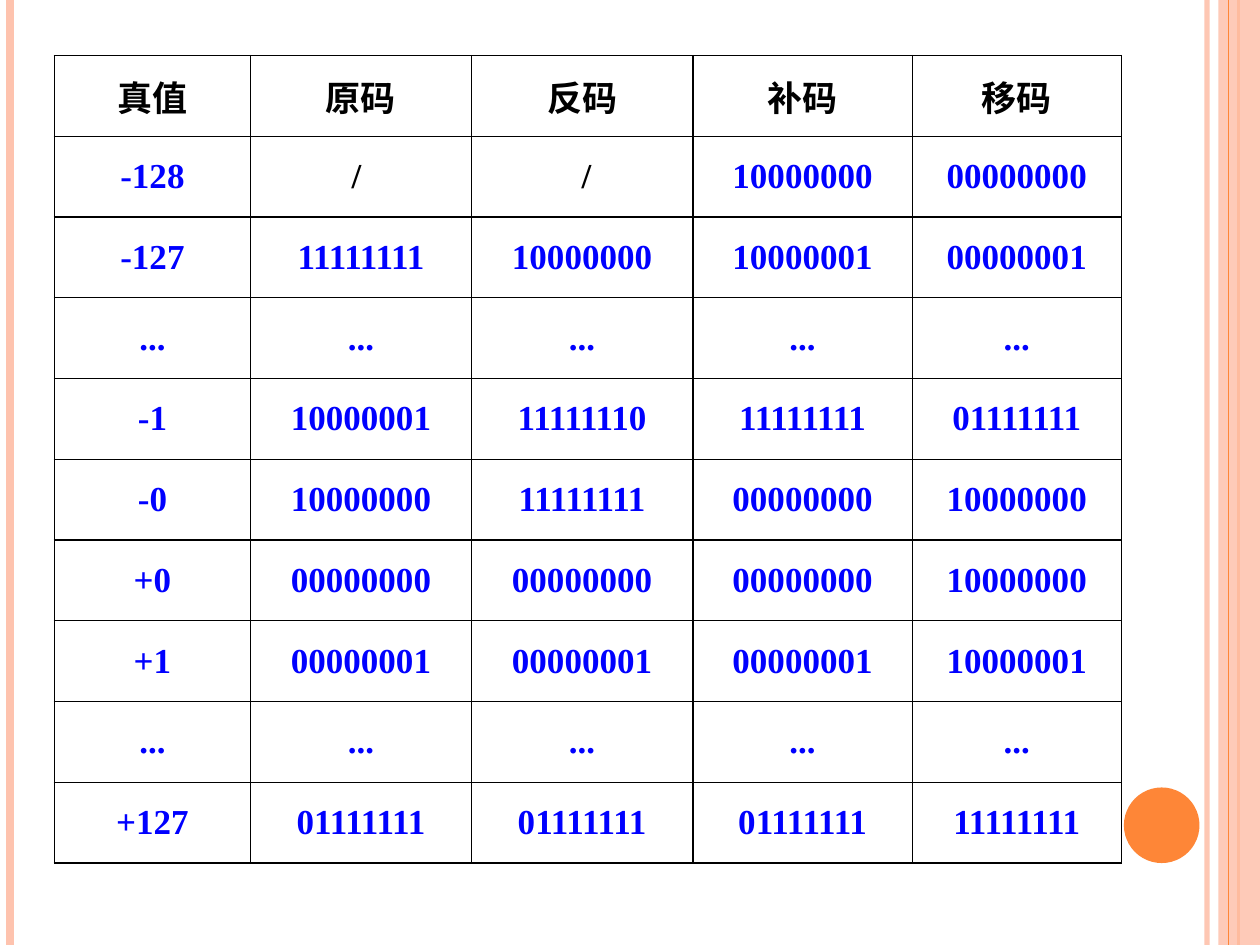
from lxml import etree
from pptx import Presentation
from pptx.dml.color import RGBColor
from pptx.enum.shapes import MSO_CONNECTOR, MSO_SHAPE
from pptx.enum.text import MSO_ANCHOR, PP_ALIGN
from pptx.oxml import parse_xml
from pptx.oxml.ns import nsdecls, qn
from pptx.util import Inches, Pt

STRAIGHT = MSO_CONNECTOR.STRAIGHT
RECT, OVAL = MSO_SHAPE.RECTANGLE, MSO_SHAPE.OVAL
MIDDLE, CENTER = MSO_ANCHOR.MIDDLE, PP_ALIGN.CENTER
PINK, ORANGE, BLACK, BLUE = "FEC3AE", "FE8637", "000000", "0000FF"


def rgb(value):
    return RGBColor.from_string(value)


def set_alpha(fill, percent):
    """Make a solid fill partly transparent."""
    color = fill._xPr.find(qn("a:solidFill"))[0]
    etree.SubElement(color, qn("a:alpha"), val=str(percent * 1000))


prs = Presentation()
prs.slide_width, prs.slide_height = Inches(10), Inches(7.5)
s = prs.slides.add_slide(prs.slide_layouts[6])

# Side decoration: band and disc, with vertical lines below and above the band
rules = [(9.58, PINK, 3, 93), (0.08, PINK, 4.5, 100), (9.83, ORANGE, 1.5, 100),
         (9.75, ORANGE, 0.75, 100)]
shapes = [(RECT, 9.67, 0, 0.33, 7.5, PINK, 87), (OVAL, 8.92, 6.25, 0.6, 0.6, ORANGE, 100)]

for part in rules[:3] + shapes[:1] + rules[3:] + shapes[1:]:
    if len(part) == 4:
        x, color, width, alpha = part
        sp = s.shapes.add_connector(STRAIGHT, Inches(x), 0, Inches(x), Inches(7.5))
        sp.line.width = Pt(width)
        fill = sp.line.fill
        fill.solid()
        fill.fore_color.rgb = rgb(color)
        etree.SubElement(sp._element.spPr, qn("a:effectLst"))
    else:
        kind, x, y, w, h, color, alpha = part
        sp = s.shapes.add_shape(kind, Inches(x), Inches(y), Inches(w), Inches(h))
        sp.shadow.inherit = False
        sp.line.fill.background()
        fill = sp.fill
        fill.solid()
        fill.fore_color.rgb = rgb(color)
    if alpha < 100:
        set_alpha(fill, alpha)

# Table of 8-bit codes
rows = [
    ["真值", "原码", "反码", "补码", "移码"],
    ["-128", "/ ", " /", "10000000", "00000000"],
    ["-127", "11111111", "10000000", "10000001", "00000001"],
    ["..."] * 5,
    ["-1", "10000001", "11111110", "11111111", "01111111"],
    ["-0", "10000000", "11111111", "00000000", "10000000"],
    ["+0", "00000000", "00000000", "00000000", "10000000"],
    ["+1", "00000001", "00000001", "00000001", "10000001"],
    ["..."] * 5,
    ["+127", "01111111", "01111111", "01111111", "11111111"],
]
widths = [1.56, 1.75, 1.76, 1.74, 1.66]
table = s.shapes.add_table(len(rows), len(widths), Inches(0.43), Inches(0.44),
                           Inches(8.47), Inches(6.41)).table
table.first_row = table.horz_banding = False
for column, width in zip(table.columns, widths):
    column.width = Inches(width)

for i, row in enumerate(rows):
    for j, text in enumerate(row):
        cell = table.cell(i, j)
        cell.vertical_anchor = MIDDLE
        cell.text = text
        p = cell.text_frame.paragraphs[0]
        p.alignment = CENTER
        pPr = p._p.get_or_add_pPr()
        pPr.set("marL", str(Inches(0.38)))
        pPr.set("indent", str(Inches(-0.38)))
        p.font.name, p.font.size, p.font.bold = "Times New Roman", Pt(20), True
        p.font.color.rgb = rgb(BLACK if i == 0 or "/" in text else BLUE)
        # Borders come before the fill in the cell properties
        tcPr = cell._tc.get_or_add_tcPr()
        for side in ("lnL", "lnR", "lnT", "lnB"):
            tcPr.append(parse_xml(
                f'<a:{side} {nsdecls("a")} w="{Pt(0.75)}"><a:solidFill>'
                f'<a:srgbClr val="{BLACK}"/></a:solidFill></a:{side}>'))
        cell.fill.background()

prs.save("out.pptx")
